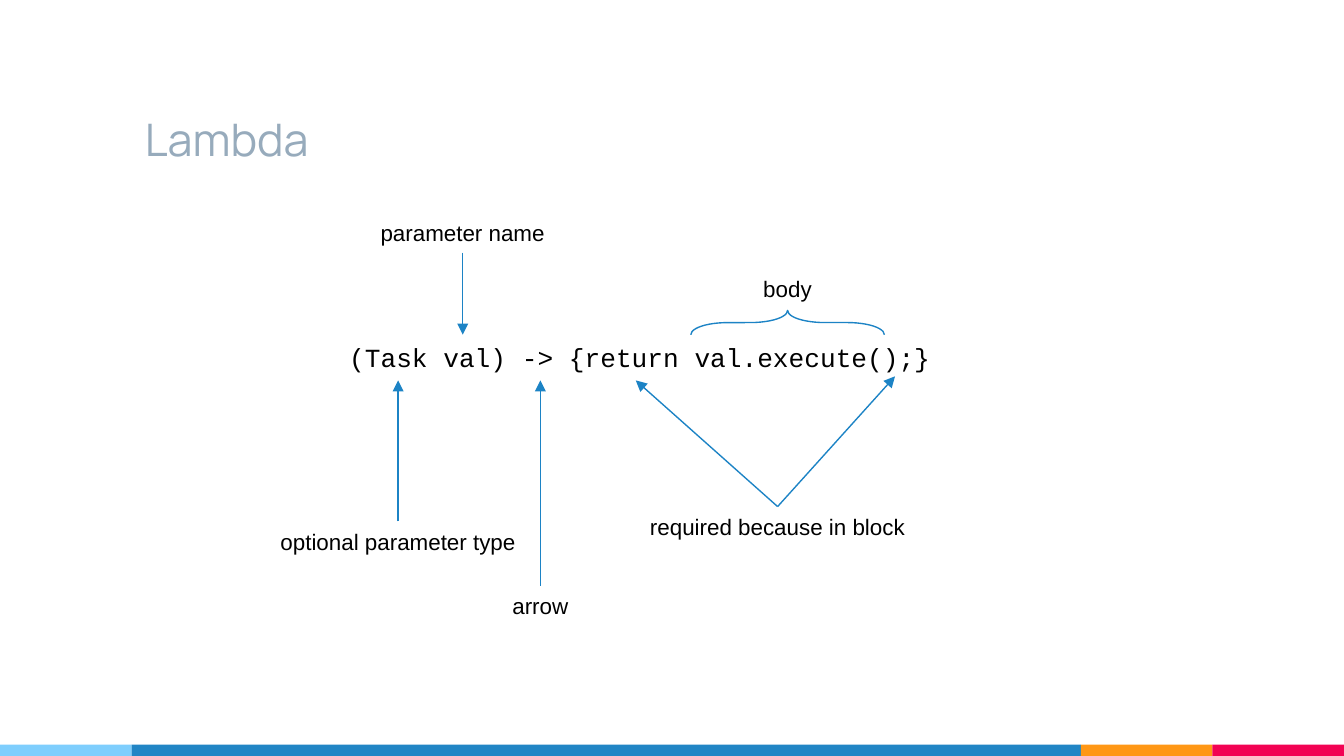
import lxml.etree
import pptx
import pptx.dml.color
import pptx.enum.shapes
import pptx.enum.text
import pptx.oxml.ns
import pptx.util

Pt = pptx.util.Pt
RGBColor = pptx.dml.color.RGBColor
SHAPE = pptx.enum.shapes.MSO_SHAPE
ALIGN = pptx.enum.text.PP_ALIGN
ANCHOR = pptx.enum.text.MSO_ANCHOR
qn = pptx.oxml.ns.qn

SKY = RGBColor(0x7E, 0xCE, 0xFD)
BLUE = RGBColor(0x21, 0x85, 0xC5)
ORANGE = RGBColor(0xFF, 0x97, 0x15)
PINK = RGBColor(0xF2, 0x02, 0x53)
SLATE = RGBColor(0x97, 0xAB, 0xBC)
LINE = RGBColor(0x1C, 0x83, 0xC5)
BLACK = RGBColor(0, 0, 0)

SLIDE_W, SLIDE_H = 720, 405
LABEL_H = 21.6
TOP, BOTTOM = 0, 2


def add_text(s, box, text, font, size, color, align=ALIGN.LEFT, wrap=False):
    tb = s.shapes.add_textbox(*(Pt(v) for v in box))
    tf = tb.text_frame
    tf.word_wrap = wrap
    p = tf.paragraphs[0]
    p.text = text
    p.alignment = align
    p.font.name = font
    p.font.size = Pt(size)
    p.font.color.rgb = color
    return tb


def add_label(s, text, center, top, width):
    box = (center - width / 2, top, width, LABEL_H)
    return add_text(s, box, text, "Arial", 12, BLACK, ALIGN.CENTER)


def add_arrow(s, label, side, x, y):
    """Draw an arrow from the middle of a label's side to the point x, y."""
    c = s.shapes.add_connector(pptx.enum.shapes.MSO_CONNECTOR.STRAIGHT,
                               0, 0, Pt(x), Pt(y))
    c.begin_connect(label, side)
    c.line.color.rgb = LINE
    c.line.width = Pt(0.75)
    lxml.etree.SubElement(c.line._get_or_add_ln(), qn("a:tailEnd"), type="triangle")
    lxml.etree.SubElement(c._element.spPr, qn("a:effectLst"))


def add_brace(s, center_x, center_y, span, depth):
    """Draw a brace that lies over a stretch of code, its tip upwards."""
    sp = s.shapes.add_shape(SHAPE.LEFT_BRACE, Pt(center_x - depth / 2),
                            Pt(center_y - span / 2), Pt(depth), Pt(span))
    sp.rotation = 90
    sp.adjustments[0] = 1.52
    sp.shadow.inherit = False
    sp.fill.background()
    sp.line.color.rgb = LINE
    sp.line.width = Pt(0.75)


def add_footer(s, left, top, width, height):
    end = 70.5
    stripes = [(SKY, end), (BLUE, width - 3 * end), (ORANGE, end), (PINK, end)]
    for color, w in stripes:
        sp = s.shapes.add_shape(SHAPE.RECTANGLE, Pt(left), Pt(top), Pt(w), Pt(height))
        sp.shadow.inherit = False
        sp.fill.solid()
        sp.fill.fore_color.rgb = color
        sp.line.fill.background()
        left += w


def add_title(s, left, top, width, height):
    tb = add_text(s, (left, top, width, height), "Lambda", "Manrope", 24, SLATE, wrap=True)
    tf = tb.text_frame
    tf.vertical_anchor = ANCHOR.BOTTOM
    tf.margin_left = tf.margin_right = tf.margin_top = tf.margin_bottom = Pt(7.2)


def add_lambda_diagram(s, left, top, width, height):
    """Place the code line in the box and its notes above and below it."""
    bottom = top + height
    add_text(s, (left, top, width, height), "(Task val) -> {return val.execute();}",
             "Courier New", 14, BLACK)

    body_x = left + 241.9
    add_label(s, "body", body_x, top - 35.3, 40.3)
    add_brace(s, body_x, top - 6.5, 103.7, 13)

    # text, centre, label top, label width, side the arrows leave, arrow tips
    notes = [
        ("parameter name", 67.9, top - 65.5, 103, BOTTOM, [(67.9, top)]),
        ("optional parameter type", 33.3, bottom + 75.5, 141, TOP, [(33.3, bottom)]),
        ("arrow", 109.5, bottom + 110, 44.6, TOP, [(109.5, bottom)]),
        ("required because in block", 236.6, bottom + 67.6, 152, TOP,
         [(299.5, bottom - 2.2), (160.6, bottom)]),
    ]
    for text, x, y, w, side, tips in notes:
        label = add_label(s, text, left + x, y, w)
        for tip_x, tip_y in tips:
            add_arrow(s, label, side, left + tip_x, tip_y)


def main():
    prs = pptx.Presentation()
    prs.slide_width, prs.slide_height = Pt(SLIDE_W), Pt(SLIDE_H)
    s = prs.slides.add_slide(prs.slide_layouts[6])
    add_footer(s, 0, SLIDE_H - 6, SLIDE_W, 6)
    add_title(s, 70.5, 28, 509, 67.7)
    add_lambda_diagram(s, 180, 179.3, 326, 24.5)
    prs.save("out.pptx")


if __name__ == "__main__":
    main()
